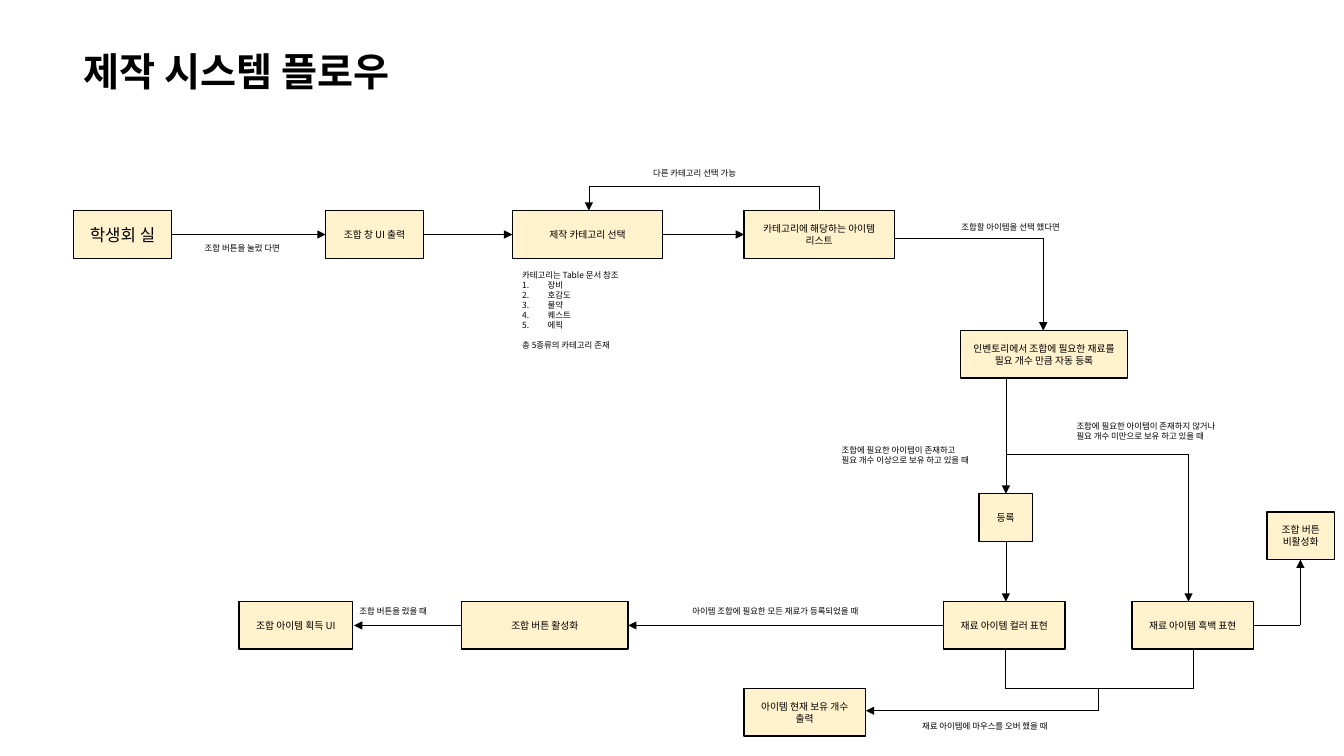
import itertools

import pptx
import pptx.dml.color
import pptx.enum.shapes
import pptx.enum.text
import pptx.oxml.ns
import pptx.util
from lxml import etree

Cm = pptx.util.Cm
Pt = pptx.util.Pt
qn = pptx.oxml.ns.qn

COLORS = {"ink": "000000", "node": "FFF2CC"}
BODY_FONT = "Noto Sans CJK KR"
TITLE_FONT = "Roboto"
NODE_HEIGHT = 1.2
MIDDLE = NODE_HEIGHT / 2


def color(name):
    """Return the named colour."""
    return pptx.dml.color.RGBColor.from_string(COLORS[name])


def write(para, text, size, font=BODY_FONT, bold=False):
    """Add one run and set the line pitch that goes with its size."""
    para.line_spacing = Pt(round(size * 1.2, 1))
    span = para.add_run()
    span.text = text
    span.font.size = Pt(size)
    span.font.name = font
    span.font.bold = bold
    span.font.color.rgb = color("ink")
    east_asian = etree.SubElement(span.font._element, qn("a:ea"))
    east_asian.set("typeface", BODY_FONT)


def number(para):
    """Turn a paragraph into an item of a numbered list."""
    properties = para._p.get_or_add_pPr()
    properties.set("marL", str(Cm(0.64)))
    properties.set("indent", str(-Cm(0.64)))
    etree.SubElement(properties, qn("a:buAutoNum"), type="arabicPeriod")


def add_node(page, box, x, y, width, text, size=7):
    """Add a flow step at x, y inside the box."""
    left, top = box
    node = page.shapes.add_shape(
        pptx.enum.shapes.MSO_SHAPE.RECTANGLE,
        Cm(left + x), Cm(top + y), Cm(width), Cm(NODE_HEIGHT))
    node.shadow.inherit = False
    node.fill.solid()
    node.fill.fore_color.rgb = color("node")
    node.line.color.rgb = color("ink")
    node.line.width = Pt(1)
    frame = node.text_frame
    frame.word_wrap = True
    frame.vertical_anchor = pptx.enum.text.MSO_ANCHOR.MIDDLE
    para = frame.paragraphs[0]
    para.alignment = pptx.enum.text.PP_ALIGN.CENTER
    write(para, text, size)


def add_label(page, box, x, y, width, lines, size=6, height=0.5, **style):
    """Add lines of text at x, y inside the box and return their paragraphs."""
    left, top = box
    label = page.shapes.add_textbox(
        Cm(left + x), Cm(top + y), Cm(width), Cm(height))
    frame = label.text_frame
    frame.word_wrap = True
    for index, line in enumerate(lines):
        para = frame.add_paragraph() if index else frame.paragraphs[0]
        write(para, line, size, **style)
    return frame.paragraphs


def add_route(page, box, points, arrow=True):
    """Join the points with lines; the last one may carry an arrowhead."""
    left, top = box
    for start, end in itertools.pairwise(points):
        line = page.shapes.add_connector(
            pptx.enum.shapes.MSO_CONNECTOR.STRAIGHT,
            Cm(left + start[0]), Cm(top + start[1]),
            Cm(left + end[0]), Cm(top + end[1]))
        line.line.color.rgb = color("ink")
        line.line.width = Pt(0.5)
        properties = line._element.spPr
        etree.SubElement(properties, qn("a:effectLst"))
    if arrow:
        outline = properties.find(qn("a:ln"))
        etree.SubElement(outline, qn("a:tailEnd"), type="triangle")


def add_title(page, box):
    """Add the slide title."""
    add_label(page, box, 0, 0, 12.4, ["제작 시스템 플로우"], size=28,
              height=1.45, font=TITLE_FONT, bold=True)


def add_category_note(page, box):
    """Add the list of categories below the category step."""
    items = ["장비", "호감도", "물약", "퀘스트", "에픽"]
    lines = ["카테고리는 Table 문서 참조", *items, "총 5종류의 카테고리 존재"]
    paras = add_label(page, box, 0, 0, 3.4, lines, height=2.31)
    for para in paras[1:-1]:
        number(para)
    paras[-1].space_before = Pt(7.2)


def add_selection_row(page, box):
    """Add the top row, from the room to the chosen item."""
    left, top = box
    steps = [(0, 2.46, "학생회 실", 12),
             (6.35, 2.46, "조합 창 UI 출력", 7),
             (11.05, 3.79, "제작 카테고리 선택", 7),
             (16.89, 3.79, "카테고리에 해당하는 아이템 리스트", 7)]
    for x, width, text, size in steps:
        add_node(page, box, x, 0, width, text, size)
    for (x, width, *_), following in itertools.pairwise(steps):
        add_route(page, box, [(x + width, MIDDLE), (following[0], MIDDLE)])
    add_route(page, box, [(18.8, 0), (18.8, -0.61), (12.98, -0.61), (12.98, 0)])
    add_route(page, box, [(20.68, 0.69), (24.43, 0.69), (24.43, 3.02)])
    add_label(page, box, 3.05, 0.69, 2.74, ["조합 버튼을 눌렀 다면"])
    add_label(page, box, 14.35, -1.19, 3.4, ["다른 카테고리 선택 가능"])
    add_label(page, box, 22.12, 0.15, 3.4, ["조합할 아이템을 선택 했다면"])
    add_category_note(page, (left + 11.05, top + 1.37))


def add_material_check(page, box):
    """Add the branch that checks the materials in the inventory."""
    add_node(page, box, 3.25, 0, 4.2,
             "인벤토리에서 조합에 필요한 재료를 필요 개수 만큼 자동 등록")
    add_node(page, box, 3.71, 4.11, 1.35, "등록")
    add_node(page, box, 2.82, 6.83, 3.06, "재료 아이템 컬러 표현")
    add_node(page, box, 7.57, 6.83, 3.06, "재료 아이템 흑백 표현")
    add_node(page, box, 10.97, 4.57, 1.7, "조합 버튼 비활성화")
    add_route(page, box, [(4.39, NODE_HEIGHT), (4.39, 4.11)])
    add_route(page, box, [(4.39, 4.11 + NODE_HEIGHT), (4.39, 6.83)])
    add_route(page, box, [(4.39, 3.12), (8.99, 3.12), (8.99, 6.83)])
    add_route(page, box, [(10.63, 6.83 + MIDDLE), (11.81, 6.83 + MIDDLE),
                          (11.81, 4.57 + NODE_HEIGHT)])
    add_label(page, box, 0, 2.77, 4.37, height=0.76, lines=[
        "조합에 필요한 아이템이 존재하고", "필요 개수 이상으로 보유 하고 있을 때"])
    add_label(page, box, 5.92, 2.16, 4.7, height=0.76, lines=[
        "조합에 필요한 아이템이 존재하지 않거나", "필요 개수 미만으로 보유 하고 있을 때"])


def add_result_row(page, box):
    """Add the bottom row, from registered materials to the crafted item."""
    add_node(page, box, 0, 0, 2.87, "조합 아이템 획득 UI")
    add_node(page, box, 5.61, 0, 4.2, "조합 버튼 활성화")
    add_route(page, box, [(17.76, MIDDLE), (9.81, MIDDLE)])
    add_route(page, box, [(5.61, MIDDLE), (2.9, MIDDLE)])
    add_label(page, box, 11.18, 0, 5.44,
              ["아이템 조합에 필요한 모든 재료가 등록되었을 때"])
    add_label(page, box, 2.79, 0, 2.9, ["조합 버튼을 눌렀을 때".replace("눌", "")])


def add_hover_branch(page, box):
    """Add the step shown when the mouse is over a material."""
    add_node(page, box, 0, 0.99, 3.06, "아이템 현재 보유 개수 출력")
    add_route(page, box, [(6.58, 0), (6.58, 0.99), (11.33, 0.99), (11.33, 0)],
              arrow=False)
    add_route(page, box, [(8.94, 0.99), (8.94, 1.55), (3.07, 1.55)])
    add_label(page, box, 4.24, 1.68, 4.7, ["재료 아이템에 마우스를 오버 했을 때"])


def main():
    """Build the slide and save it."""
    deck = pptx.Presentation()
    deck.slide_width = Cm(33.87)
    deck.slide_height = Cm(19.05)
    page = deck.slides.add_slide(deck.slide_layouts[6])
    add_title(page, (1.86, 1.07))
    add_selection_row(page, (1.86, 5.31))
    add_material_check(page, (20.96, 8.33))
    add_result_row(page, (6.02, 15.16))
    add_hover_branch(page, (18.75, 16.36))
    deck.save("out.pptx")


main()
